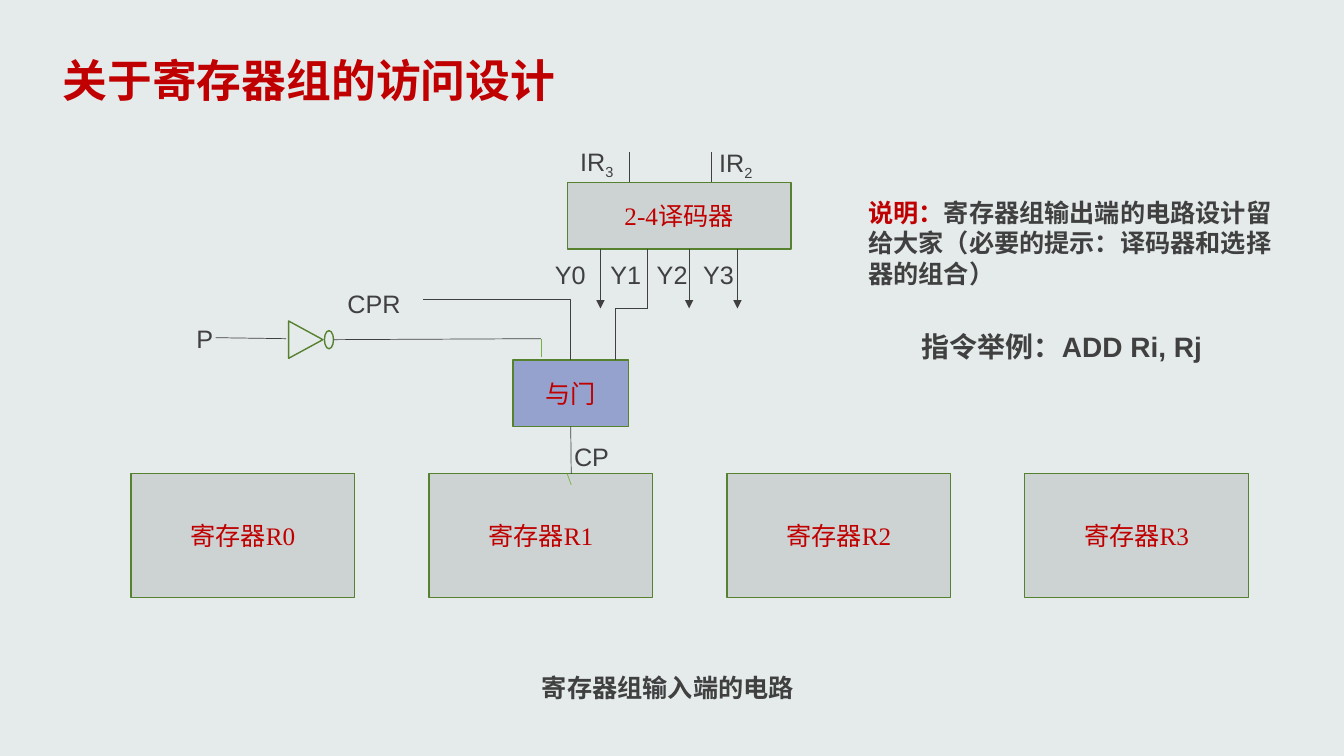
from pptx import Presentation
from pptx.dml.color import RGBColor as Color
from pptx.enum.shapes import MSO_CONNECTOR as Wire, MSO_SHAPE as Preset
from pptx.enum.text import MSO_ANCHOR as Anchor, PP_ALIGN as Align
from pptx.oxml.ns import qn
from pptx.util import Inches, Pt
from lxml.etree import SubElement

THEME = {
    "background": "E5EAEA", "box": "CDD2D2", "gate": "95A2CD",
    "outline": "56812E", "stub": "77B142", "red": "C00000", "ink": "404040",
    "title": 32, "example": 20, "body": 18,
    "sans": "Arial", "serif": "Times New Roman", "box_font": "Calibri",
    "chinese": "Noto Sans CJK SC",
}
CELL = Inches(0.1)  # one column or row of the layout grid


def write(shape, runs, align=Align.LEFT, anchor=Anchor.TOP):
    """Fill a shape with runs of (text, format values)."""
    frame = shape.text_frame
    layout = {"word_wrap": True, "vertical_anchor": anchor,
              "margin_left": CELL, "margin_right": CELL,
              "margin_top": CELL // 2, "margin_bottom": CELL // 2}
    for name, value in layout.items():
        setattr(frame, name, value)
    paragraph = frame.paragraphs[0]
    paragraph.alignment = align
    for text, changes in runs:
        values = {"font": "sans", "size": "body", "color": "ink", "bold": False, **changes}
        run = paragraph.add_run()
        run.text = text
        settings = {"name": THEME[values["font"]], "size": Pt(THEME[values["size"]]),
                    "bold": values["bold"]}
        for name, value in settings.items():
            setattr(run.font, name, value)
        run.font.color.rgb = Color.from_string(THEME[values["color"]])
        properties = run._r.get_or_add_rPr()
        SubElement(properties, qn("a:ea")).set("typeface", THEME["chinese"])
        if "baseline" in values:
            properties.set("baseline", values["baseline"])


def connect(start, end, color="ink", width=0.5, kind=Wire.STRAIGHT, arrow=False):
    """Draw a wire between two grid points."""
    points = [round(value * CELL) for value in (*start, *end)]
    connector = slide.shapes.add_connector(kind, *points)
    connector.line.color.rgb = Color.from_string(THEME[color])
    connector.line.width = Pt(width)
    if arrow:
        SubElement(connector.line._get_or_add_ln(), qn("a:tailEnd")).set("type", "triangle")
    SubElement(connector._element.spPr, qn("a:effectLst"))
    return connector


presentation = Presentation()
presentation.slide_width, presentation.slide_height = Inches(13.34), Inches(7.5)
slide = presentation.slides.add_slide(presentation.slide_layouts[5])
slide.background.fill.solid()
slide.background.fill.fore_color.rgb = Color.from_string(THEME["background"])

# Title
title = slide.shapes.title
frame_values = {"left": 5.2, "top": 4.7, "width": 55, "height": 6.4}
for name, value in frame_values.items():
    setattr(title, name, round(value * CELL))
write(title, [("关于寄存器组的访问设计", {"size": "title", "color": "red", "bold": True})])

# Registers, decoder, AND gate and inverter: place, preset, fill, turn, runs
box_text = {"font": "box_font", "color": "red"}
serif_text = {"font": "serif", "color": "red"}
parts = [
    ((13 + 29.57 * number, 47, 22.2, 12.3), Preset.RECTANGLE, "box", 0,
     [("寄存器", box_text), (f"R{number}", serif_text)])
    for number in range(4)
] + [
    ((56.3, 18.1, 22.2, 6.6), Preset.RECTANGLE, "box", 0, [("2-4译码器", serif_text)]),
    ((28.5, 32, 3.7, 3.4), Preset.ISOSCELES_TRIANGLE, None, 90, []),
    ((32.2, 32.8, 0.9, 1.8), Preset.OVAL, None, 0, []),
    ((50.9, 35.7, 11.5, 6.6), Preset.RECTANGLE, "gate", 0, [("与门", box_text)]),
]
for place, preset, fill, turn, runs in parts:
    shape = slide.shapes.add_shape(preset, *(round(value * CELL) for value in place))
    shape.shadow.inherit = False
    shape.rotation = turn
    if fill:
        shape.fill.solid()
        shape.fill.fore_color.rgb = Color.from_string(THEME[fill])
    else:
        shape.fill.background()
    shape.line.color.rgb = Color.from_string(THEME["outline"])
    shape.line.width = Pt(1)
    if runs:
        write(shape, runs, Align.CENTER, Anchor.MIDDLE)
and_gate = shape

# Decoder inputs and free outputs
for column in (62.5, 70.6):
    connect((column, 15.1), (column, 18.1), width=1)
for column in (59.6, 68.4, 73.2):
    connect((column, 24.7), (column, 30.6), arrow=True)

# Output Y1 steps down to the AND gate
y1_points = [(64.3, 24.7), (64.3, 30.6), (61.1, 30.6), (61.1, 35.7)]
for start, end in zip(y1_points, y1_points[1:]):
    connect(start, end, width=1)

# Clock into and out of the AND gate
clock_in = connect((42, 29.7), (56.7, 35.7), kind=Wire.ELBOW)
clock_in._element.spPr.find(qn("a:prstGeom")).set("prst", "bentConnector2")
clock_in.end_connect(and_gate, 0)
clock_out = connect((56.7, 42.3), (56.7, 47))
clock_out.begin_connect(and_gate, 2)
connect((56.3, 47), (56.7, 48.1), "stub")

# Signal P through the inverter
connect((21.4, 33.5), (28.4, 33.6))
connect((33.1, 33.7), (53.7, 33.6))
connect((53.7, 33.6), (53.7, 35.4), "stub")

# Signal labels, notes and caption
bold = {"bold": True}
labels = [
    ((33.5, 28.1, 8.6, 4), [("CPR", {})]),
    ((18.5, 31.6, 6.2, 4), [("P", {})]),
    ((56, 43.3, 8.3, 4), [("CP", {})]),
    ((56.6, 14, 8.2, 4.4), [("IR", {}), ("3", {"baseline": "-25000"})]),
    ((70.4, 14.1, 8.2, 4.4), [("IR", {}), ("2", {"baseline": "-25000"})]),
    ((85.2, 19.1, 43.4, 10),
     [("说明：", {"color": "red", **bold}),
      ("寄存器组输出端的电路设计留给大家（必要的提示：译码器和选择器的组合）", bold)]),
    ((90.5, 32.2, 31.7, 4.4), [("指令举例：ADD Ri, Rj", {"size": "example", **bold})]),
    ((32, 66.2, 68.6, 4), [("寄存器组输入端的电路", {"font": "chinese", **bold})], Align.CENTER),
] + [
    ((column, 25.2, 8.2, 4), [(f"Y{number}", {})])
    for number, column in enumerate((54.1, 59.6, 64.2, 68.8))
]
for place, *text in labels:
    write(slide.shapes.add_textbox(*(round(value * CELL) for value in place)), *text)

presentation.save("out.pptx")
